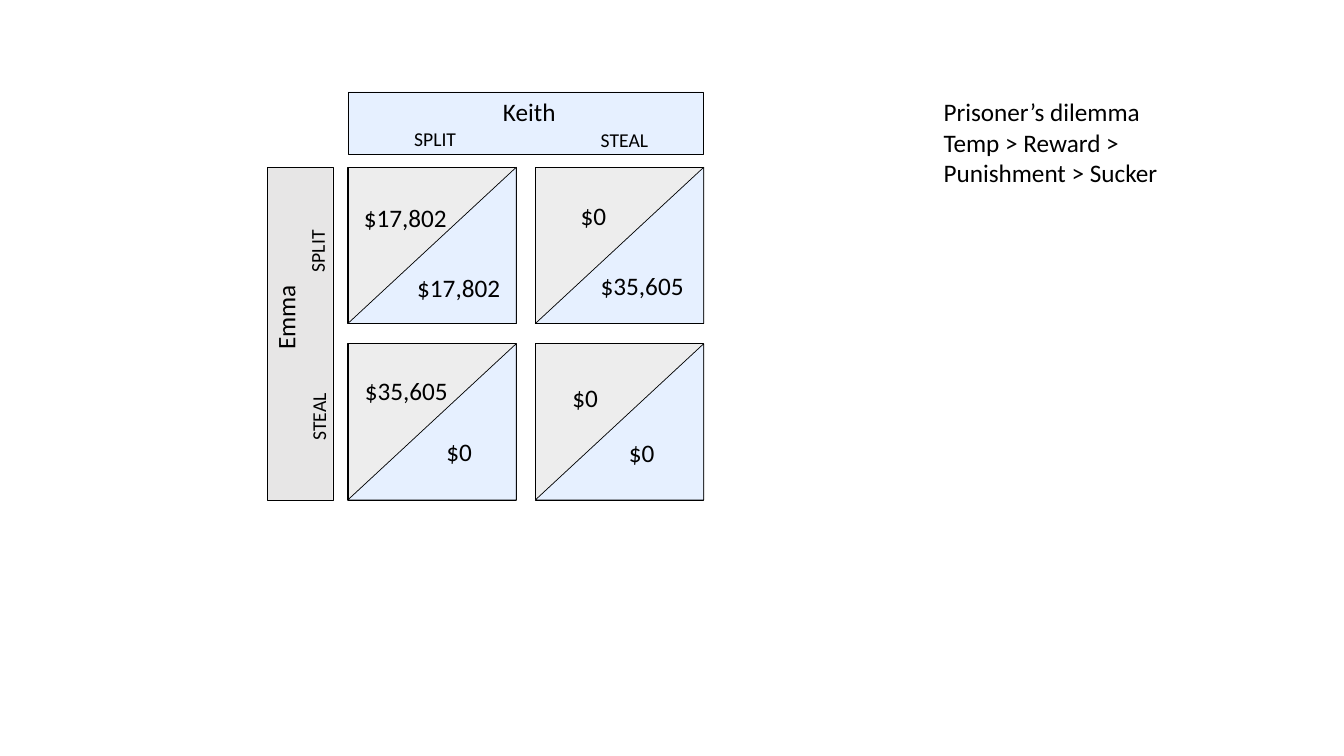
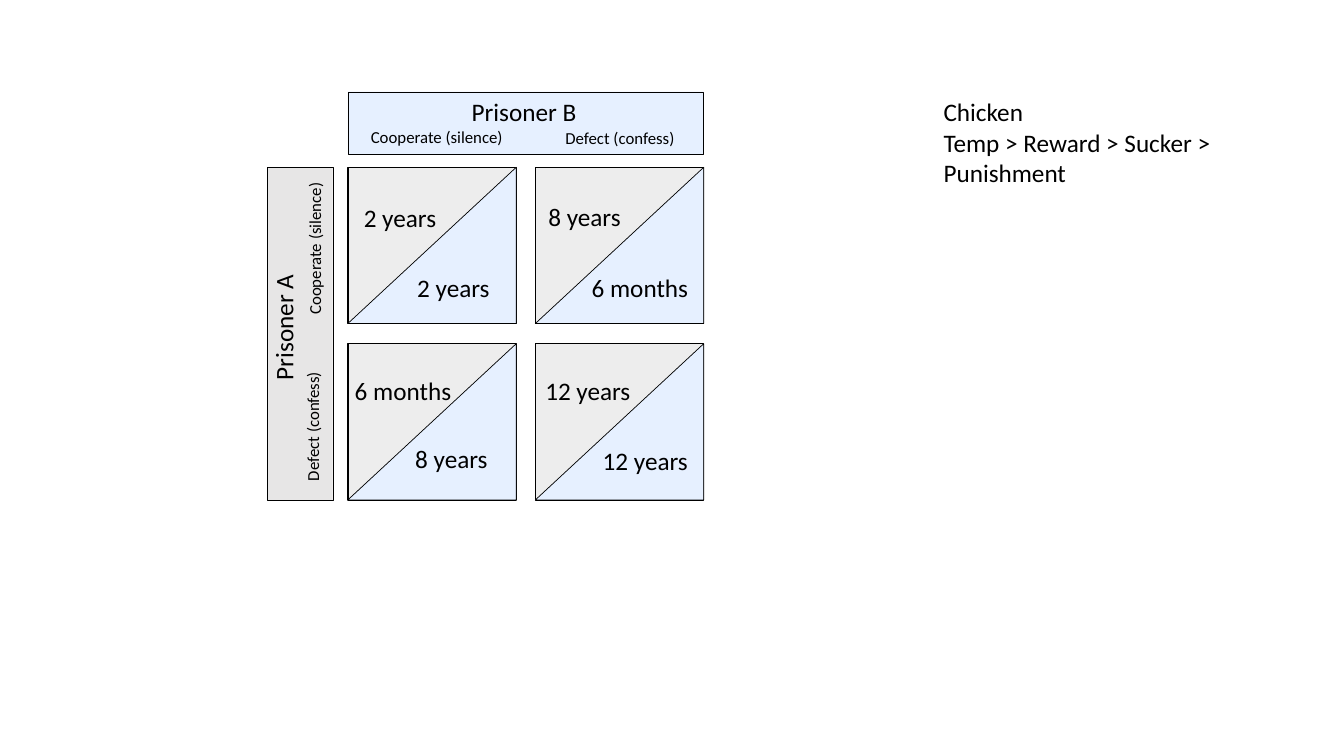
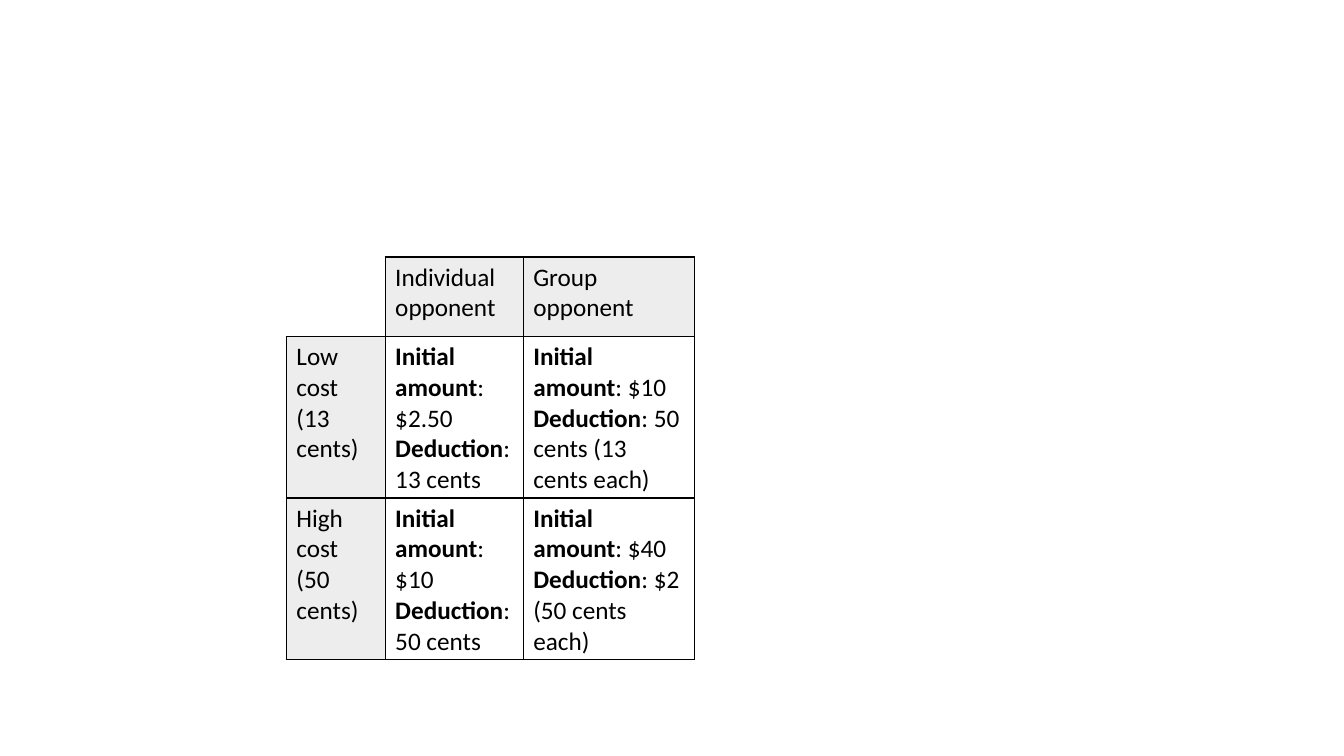
import dataclasses
import lxml.etree
import pptx
import pptx.dml.color
import pptx.enum.shapes
import pptx.enum.text
import pptx.oxml.ns
import pptx.util

Inches = pptx.util.Inches
Pt = pptx.util.Pt
Kind = pptx.enum.shapes.MSO_SHAPE


@dataclasses.dataclass(frozen=True)
class Theme:
    font: str = "Calibri"
    ink: str = "000000"
    paper: str = "FFFFFF"
    blue: str = "E6F0FF"
    side: str = "E7E6E6"
    gray: str = "EDEDED"
    main: int = 18
    thin: float = 0.25
    slant: float = 0.5
    rule: float = 1


THEME = Theme()


def tint(code):
    return pptx.dml.color.RGBColor.from_string(code)


def turn(box):
    left, top, wide, high = box
    return left + (wide - high) / 2, top + (high - wide) / 2, high, wide


def write(frame, lines, size=THEME.main, color=THEME.ink):
    frame.word_wrap = True
    for order, line in enumerate(lines):
        para = frame.paragraphs[0] if order == 0 else frame.add_paragraph()
        bold, plain = line if isinstance(line, tuple) else ("", line)
        for words, heavy in ((bold, True), (plain, False)):
            if words:
                run = para.add_run()
                run.text = words
                run.font.name = THEME.font
                run.font.size = Pt(size)
                run.font.bold = heavy
                run.font.color.rgb = tint(color)


def label(slide, box, lines, turned=False, **style):
    spot = turn(box) if turned else box
    item = slide.shapes.add_textbox(*map(Inches, spot))
    item.rotation = 270 if turned else 0
    write(item.text_frame, lines, **style)
    item.text_frame.auto_size = pptx.enum.text.MSO_AUTO_SIZE.SHAPE_TO_FIT_TEXT


def block(slide, box, fill, width, kind=Kind.RECTANGLE, turned=False):
    spot = turn(box) if turned else box
    item = slide.shapes.add_shape(kind, *map(Inches, spot))
    item.rotation = 270 if turned else 0
    item.shadow.inherit = False
    item.fill.solid()
    item.fill.fore_color.rgb = tint(fill)
    item.line.color.rgb = tint(THEME.ink)
    item.line.width = Pt(width)
    return item


def header(slide, box, fill, tags, turned=False):
    block(slide, box, fill, THEME.thin, turned=turned)
    for words, x, y, wide, high, size in tags:
        spot = (box[0] + x, box[1] + y, wide, high)
        label(slide, spot, [words], turned=turned, size=size)


def payoff(slide, box, pair):
    block(slide, box, THEME.gray, THEME.rule)
    half = block(slide, box, THEME.blue, THEME.slant,
                 Kind.ISOSCELES_TRIANGLE, turned=True)
    half.adjustments[0] = 0
    for words, x, y in pair:
        label(slide, (box[0] + x, box[1] + y, 1.2, 0.4), [words])


def matrix(slide, box, top, side, pairs):
    left, head, wide, high = box
    inset, drop = 0.8, 0.75
    cell_w, cell_h, gap_x, gap_y = 1.67, 1.55, 0.19, 0.2
    header(slide, (left, head + drop, 0.65, high - drop),
           THEME.side, side, turned=True)
    header(slide, (left + inset, head, wide - inset, 0.62), THEME.blue, top)
    for order, pair in enumerate(pairs):
        row, col = divmod(order, 2)
        payoff(slide, (left + inset + col * (cell_w + gap_x),
                       head + drop + row * (cell_h + gap_y),
                       cell_w, cell_h), pair)


def game(slide, note, **parts):
    matrix(slide, (2.65, 0.91, 4.33, 4.05), **parts)
    label(slide, (9.26, 0.91, 2.99, 1.01), note)


def border(cell, edges):
    props = cell._tc.get_or_add_tcPr()
    name = pptx.oxml.ns.qn
    for edge in "LRTB":
        line = lxml.etree.SubElement(props, name("a:ln" + edge),
                                     w=str(Pt(THEME.rule)))
        if edge in edges:
            fill = lxml.etree.SubElement(line, name("a:solidFill"))
            lxml.etree.SubElement(fill, name("a:srgbClr"), val=THEME.ink)
        else:
            lxml.etree.SubElement(line, name("a:noFill"))


def costs(slide, box, cols, rows, data):
    grid = slide.shapes.add_table(len(rows), len(cols),
                                  *map(Inches, box)).table
    grid.first_row = grid.horz_banding = False
    for col, wide in zip(grid.columns, cols):
        col.width = Inches(wide)
    for row, high in zip(grid.rows, rows):
        row.height = Inches(high)
    for r, line in enumerate(data):
        for c, lines in enumerate(line):
            cell = grid.cell(r, c)
            corner = r == c == 0
            border(cell, "RB" if corner else "LRTB")
            cell.fill.solid()
            shade = (r == 0 or c == 0) and not corner
            cell.fill.fore_color.rgb = tint(THEME.gray if shade else THEME.paper)
            write(cell.text_frame, lines)


def terms(start, cut):
    return [("Initial amount", ": " + start), ("Deduction", ": " + cut)]


def main():
    deck = pptx.Presentation()
    deck.slide_width, deck.slide_height = Inches(13.33), Inches(7.5)
    first, second, third = (deck.slides.add_slide(deck.slide_layouts[6])
                            for _ in range(3))
    game(
        first,
        ["Prisoner’s dilemma", "Temp > Reward > Punishment > Sucker"],
        top=[("Keith", 1.44, 0, 1.35, 0.4, 18),
             ("SPLIT", 0.56, 0.3, 0.87, 0.34, 14),
             ("STEAL", 2.41, 0.31, 0.87, 0.34, 14)],
        side=[("Emma", -0.02, -0.54, 0.4, 2.45, 18),
              ("SPLIT", 0.33, 0.4, 0.34, 0.74, 14),
              ("STEAL", 0.34, 2.05, 0.34, 0.76, 14)],
        pairs=[[("$17,802", 0.06, 0.3), ("$17,802", 0.59, 0.99)],
               [("$0", 0.35, 0.28), ("$35,605", 0.55, 0.97)],
               [("$35,605", 0.07, 0.26), ("$0", 0.88, 0.87)],
               [("$0", 0.27, 0.33), ("$0", 0.83, 0.88)]])
    game(
        second,
        ["Chicken", "Temp > Reward > Sucker > Punishment"],
        top=[("Prisoner B", 1.13, 0, 1.35, 0.4, 18),
             ("Cooperate (silence)", 0.13, 0.3, 1.8, 0.3, 12),
             ("Defect (confess)", 2.06, 0.31, 1.67, 0.3, 12)],
        side=[("Prisoner A", -0.04, -0.24, 0.4, 2.45, 18),
              ("Cooperate (silence)", 0.32, -0.24, 0.3, 1.8, 12),
              ("Defect (confess)", 0.3, 1.54, 0.3, 1.67, 12)],
        pairs=[[("2 years", 0.06, 0.3), ("2 years", 0.59, 0.99)],
               [("8 years", 0.03, 0.29), ("6 months", 0.46, 0.99)],
               [("6 months", -0.03, 0.26), ("8 years", 0.57, 0.94)],
               [("12 years", 0, 0.26), ("12 years", 0.57, 0.96)]])
    costs(
        third, (2.84, 2.55, 4.05, 3.99), (0.98, 1.37, 1.7), (0.79, 1.6, 1.6),
        [[[], ["Individual opponent"], ["Group opponent"]],
         [["Low cost", "(13 cents)"], terms("$2.50", "13 cents"),
          terms("$10", "50 cents (13 cents each)")],
         [["High cost (50 cents)"], terms("$10", "50 cents"),
          terms("$40", "$2 (50 cents each)")]])
    deck.save("out.pptx")


if __name__ == "__main__":
    main()
